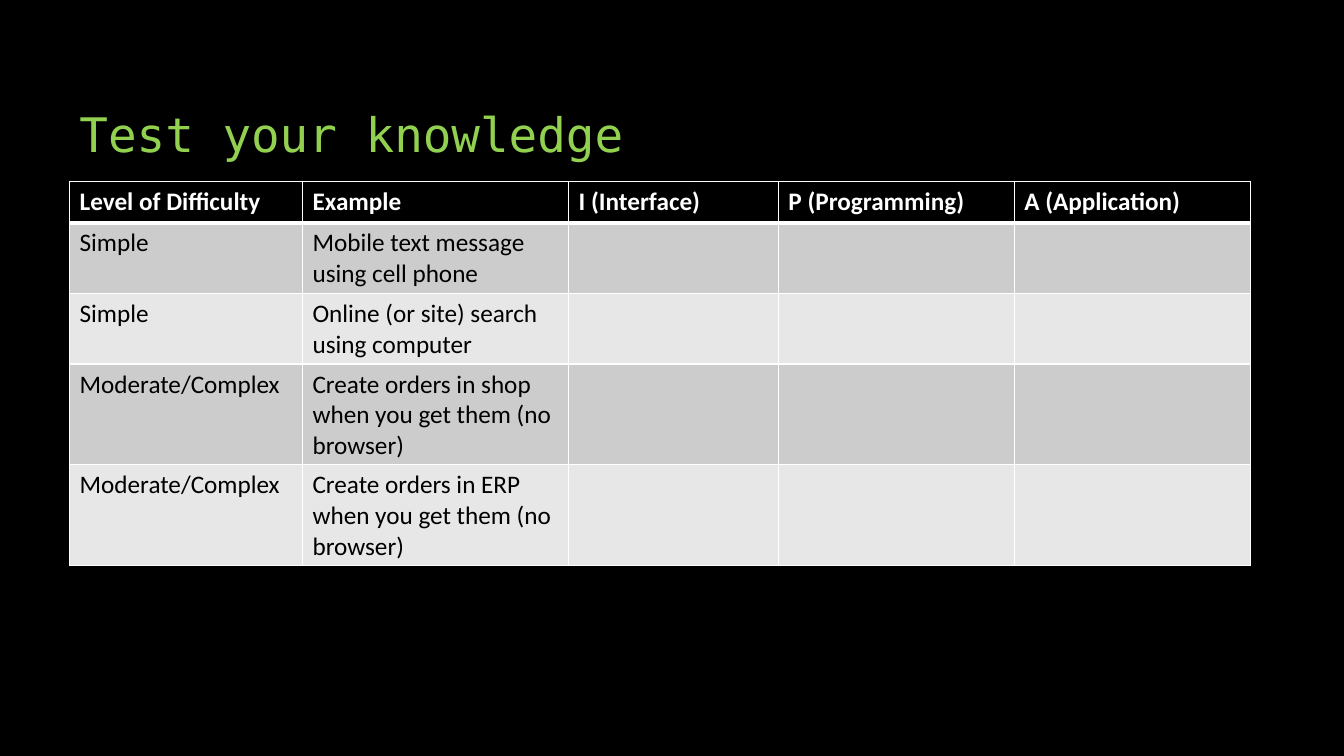
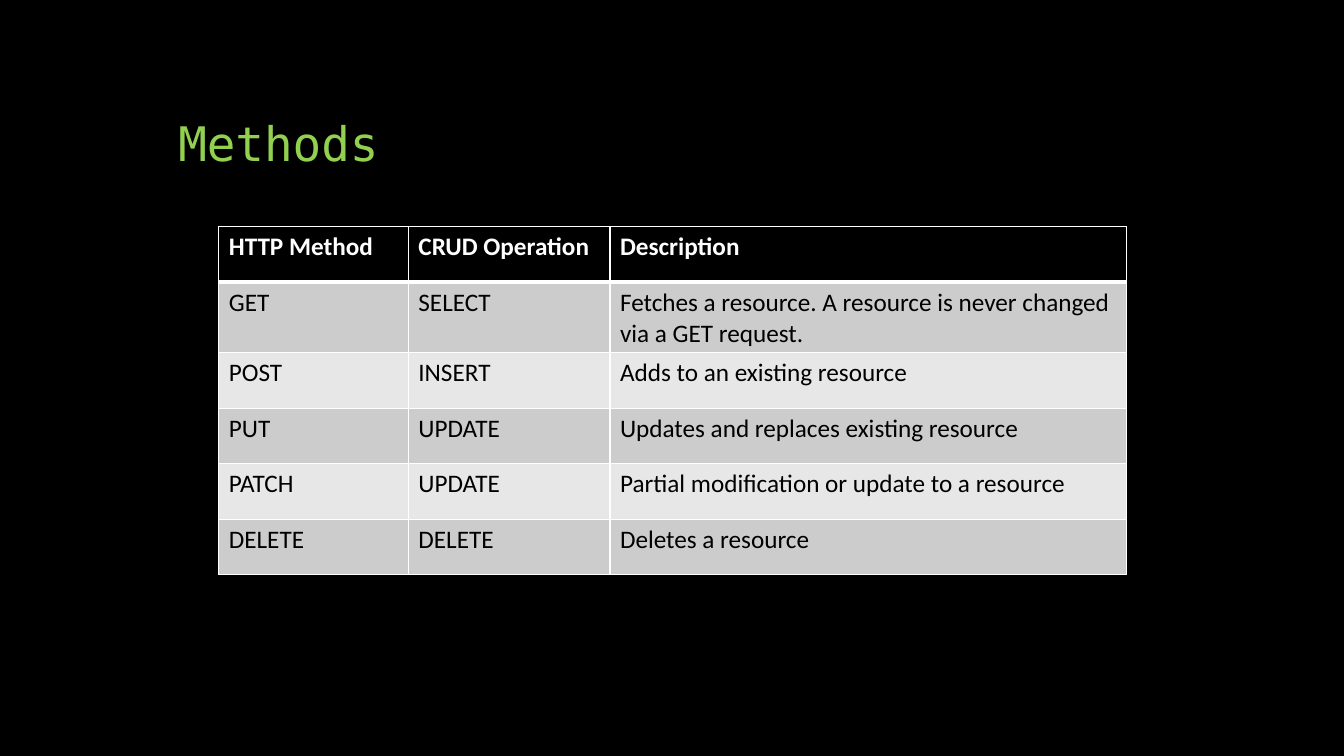
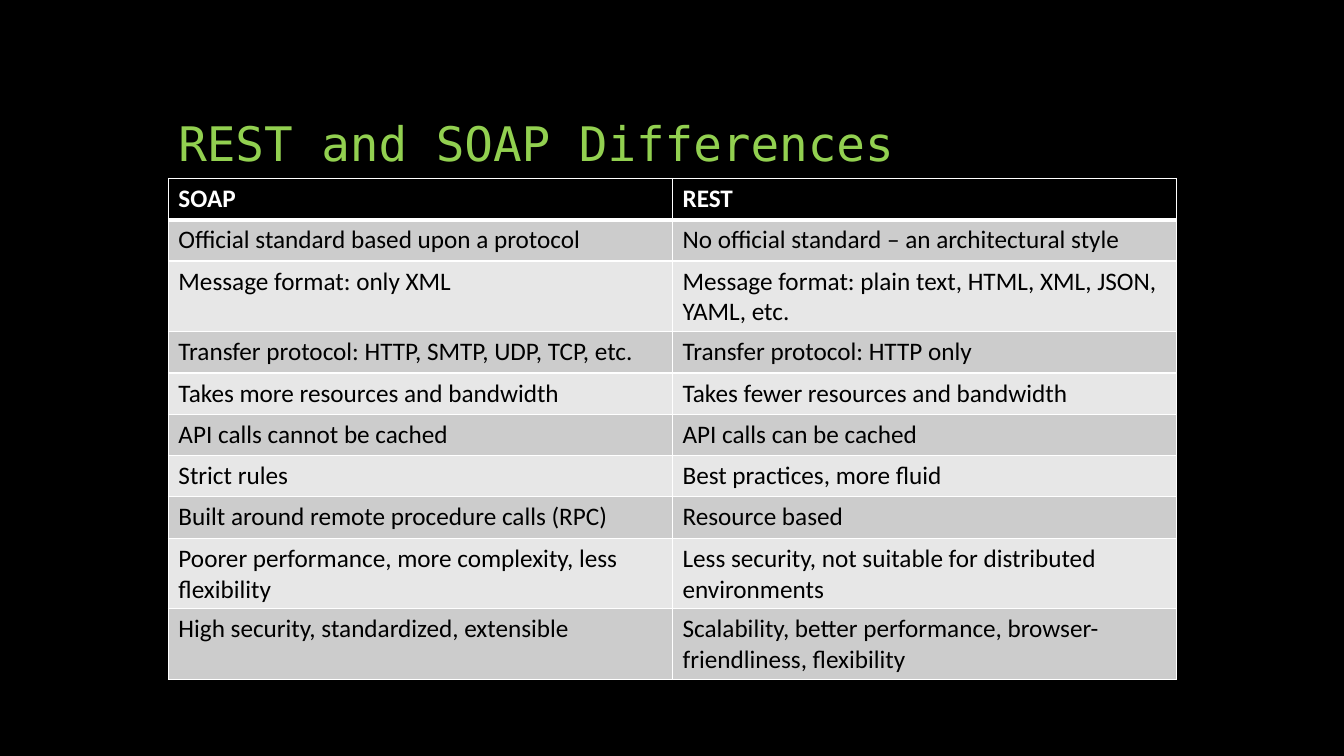
import dataclasses

import pptx
import pptx.dml.color
import pptx.enum.text
import pptx.oxml
import pptx.oxml.ns
import pptx.util

Inches = pptx.util.Inches
Pt = pptx.util.Pt


@dataclasses.dataclass(frozen=True)
class Theme:
    background: str = "000000"
    accent: str = "92D050"
    rule: str = "FFFFFF"
    header_text: str = "FFFFFF"
    body_text: str = "000000"
    bands: tuple = ("CCCCCC", "E7E7E7")
    title_font: str = "DejaVu Sans Mono"
    table_font: str = "Calibri"
    title_size: int = 34
    table_size: int = 18
    thin: int = 1
    thick: int = 3


def rgb(value):
    return pptx.dml.color.RGBColor.from_string(value)


def apply_format(target, values):
    for name, value in values.items():
        setattr(target, name, value)


class Deck:
    def __init__(self, theme):
        self.theme = theme
        self.presentation = pptx.Presentation()
        apply_format(self.presentation, {
            "slide_width": Inches(13.33), "slide_height": Inches(7.5)})
        self.slide = None

    def add_slide(self):
        self.slide = self.presentation.slides.add_slide(
            self.presentation.slide_layouts[6])
        backdrop = self.slide.background.fill
        backdrop.solid()
        backdrop.fore_color.rgb = rgb(self.theme.background)

    def style_run(self, run, font, size, color, bold=False):
        apply_format(run.font, {"name": font, "size": Pt(size), "bold": bold})
        run.font.color.rgb = rgb(color)

    def add_title(self, wording, left, top):
        title = self.slide.shapes.add_textbox(
            Inches(left), Inches(top), Inches(10), Inches(1.25)).text_frame
        apply_format(title, {
            "word_wrap": True,
            "vertical_anchor": pptx.enum.text.MSO_ANCHOR.BOTTOM})
        line = title.paragraphs[0]
        line.line_spacing = 0.9
        run = line.add_run()
        run.text = wording
        self.style_run(run, self.theme.title_font, self.theme.title_size,
                       self.theme.accent)

    def add_borders(self, cell, top, bottom):
        properties = cell._tc.get_or_add_tcPr()
        widths = {"lnL": self.theme.thin, "lnR": self.theme.thin,
                  "lnT": top, "lnB": bottom}
        for side, width in widths.items():
            properties.append(pptx.oxml.parse_xml(
                f'<a:{side} {pptx.oxml.ns.nsdecls("a")} w="{Pt(width)}">'
                f'<a:solidFill><a:srgbClr val="{self.theme.rule}"/></a:solidFill>'
                f'</a:{side}>'))

    def fill_cell(self, cell, wording, row):
        theme = self.theme
        header = row == 0
        self.add_borders(cell,
                         theme.thick if row == 1 else theme.thin,
                         theme.thick if header else theme.thin)
        cell.fill.solid()
        cell.fill.fore_color.rgb = rgb(
            theme.background if header else theme.bands[(row - 1) % 2])
        cell.text = wording
        for run in cell.text_frame.paragraphs[0].runs:
            self.style_run(run, theme.table_font, theme.table_size,
                           theme.header_text if header else theme.body_text,
                           header)

    def add_table(self, rows, left, top, column_widths, row_height):
        table = self.slide.shapes.add_table(
            len(rows), len(column_widths), Inches(left), Inches(top),
            Inches(sum(column_widths)), Inches(row_height * len(rows))).table
        table.horz_banding = False
        for column, width in zip(table.columns, column_widths):
            column.width = Inches(width)
        for row, wordings in enumerate(rows):
            padding = [""] * (len(column_widths) - len(wordings))
            for column, wording in enumerate(wordings + padding):
                self.fill_cell(table.cell(row, column), wording, row)


QUIZ = [
    ["Level of Difficulty", "Example", "I (Interface)", "P (Programming)",
     "A (Application)"],
    ["Simple", "Mobile text message using cell phone"],
    ["Simple", "Online (or site) search using computer"],
    ["Moderate/Complex", "Create orders in shop when you get them (no browser)"],
    ["Moderate/Complex", "Create orders in ERP when you get them (no browser)"],
]

METHODS = [
    ["HTTP Method", "CRUD Operation", "Description"],
    ["GET", "SELECT",
     "Fetches a resource. A resource is never changed via a GET request."],
    ["POST", "INSERT", "Adds to an existing resource"],
    ["PUT", "UPDATE", "Updates and replaces existing resource"],
    ["PATCH", "UPDATE", "Partial modification or update to a resource"],
    ["DELETE", "DELETE", "Deletes a resource"],
]

DIFFERENCES = [
    ["SOAP", "REST"],
    ["Official standard based upon a protocol",
     "No official standard – an architectural style"],
    ["Message format: only XML",
     "Message format: plain text, HTML, XML, JSON, YAML, etc."],
    ["Transfer protocol: HTTP, SMTP, UDP, TCP, etc.",
     "Transfer protocol: HTTP only"],
    ["Takes more resources and bandwidth",
     "Takes fewer resources and bandwidth"],
    ["API calls cannot be cached", "API calls can be cached"],
    ["Strict rules", "Best practices, more fluid"],
    ["Built around remote procedure calls (RPC)", "Resource based"],
    ["Poorer performance, more complexity, less flexibility",
     "Less security, not suitable for distributed environments"],
    ["High security, standardized, extensible",
     "Scalability, better performance, browser-friendliness, flexibility"],
]


def main():
    deck = Deck(Theme())

    deck.add_slide()
    deck.add_title("Test your knowledge", 0.69, 0.41)
    deck.add_table(QUIZ, 0.69, 1.8, [2.31, 2.64, 2.08, 2.34, 2.34], 0.41)

    deck.add_slide()
    deck.add_title("Methods", 1.67, 0.5)
    deck.add_table(METHODS, 2.17, 2.25, [1.88, 2, 5.12], 0.55)

    deck.add_slide()
    deck.add_title("REST and SOAP Differences", 1.67, 0.5)
    deck.add_table(DIFFERENCES, 1.67, 1.77, [5, 5], 0.41)

    deck.presentation.save("out.pptx")


if __name__ == "__main__":
    main()
